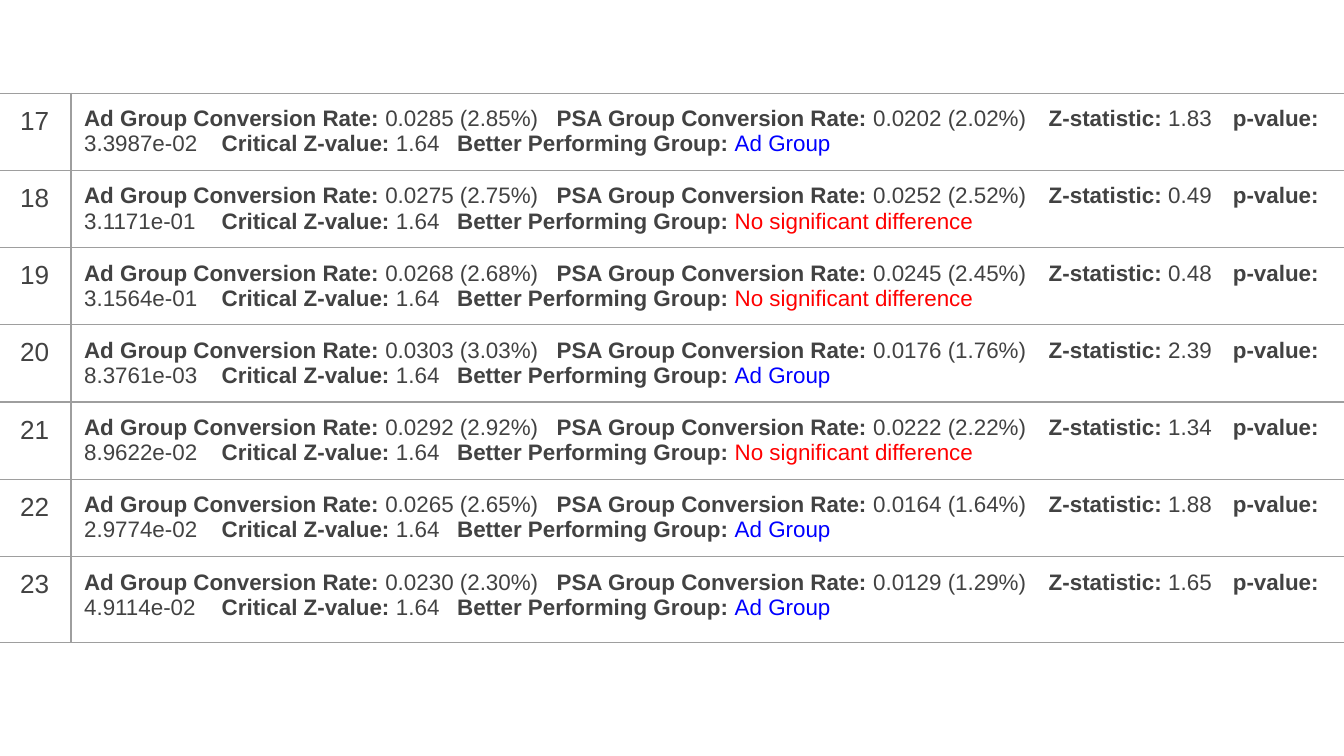
from lxml import etree
from pptx import Presentation
from pptx.dml.color import RGBColor
from pptx.enum import text
from pptx.oxml import ns
from pptx.util import Cm, Pt

GREY = RGBColor(0x42, 0x42, 0x42)
BLUE = RGBColor(0x00, 0x00, 0xFF)
RED = RGBColor(0xFF, 0x00, 0x00)
BORDER = RGBColor(0x9E, 0x9E, 0x9E)
FONT = "Arial"

LABELS = [
    "Ad Group Conversion Rate:",
    "PSA Group Conversion Rate:",
    "Z-statistic:",
    "p-value:",
    "Critical Z-value:",
    "Better Performing Group:",
]
WINNER, TIE = "Ad Group", "No significant difference"
OUTCOME_COLORS = {WINNER: BLUE, TIE: RED}
RESULTS = [
    ("17", "0.0285 (2.85%)", "0.0202 (2.02%)", "1.83", "3.3987e-02", "1.64", WINNER),
    ("18", "0.0275 (2.75%)", "0.0252 (2.52%)", "0.49", "3.1171e-01", "1.64", TIE),
    ("19", "0.0268 (2.68%)", "0.0245 (2.45%)", "0.48", "3.1564e-01", "1.64", TIE),
    ("20", "0.0303 (3.03%)", "0.0176 (1.76%)", "2.39", "8.3761e-03", "1.64", WINNER),
    ("21", "0.0292 (2.92%)", "0.0222 (2.22%)", "1.34", "8.9622e-02", "1.64", TIE),
    ("22", "0.0265 (2.65%)", "0.0164 (1.64%)", "1.88", "2.9774e-02", "1.64", WINNER),
    ("23", "0.0230 (2.30%)", "0.0129 (1.29%)", "1.65", "4.9114e-02", "1.64", WINNER),
]

LEFT, TOP = Cm(-0.03), Cm(1.76)
COLUMN_WIDTHS = [Cm(1.37), Cm(24.1)]
ROW_HEIGHT, LAST_ROW_HEIGHT = Cm(1.46), Cm(1.63)
MARGIN = Cm(0.25)
TAB_STOPS = [Cm(2.6), Cm(7.05), Cm(8.93), Cm(18.23), Cm(21.71)]


def add_span(para, words, size, color=GREY, bold=False):
    span = para.add_run()
    span.text = words
    span.font.name = FONT
    span.font.size = Pt(size)
    span.font.bold = bold
    span.font.color.rgb = color


def add_tab_stops(para):
    stops = etree.SubElement(para._p.get_or_add_pPr(), ns.qn("a:tabLst"))
    for position in TAB_STOPS:
        etree.SubElement(stops, ns.qn("a:tab"), pos=str(position), algn="l")


def style_cell(cell):
    cell.margin_left = cell.margin_right = MARGIN
    cell.margin_top = cell.margin_bottom = MARGIN
    cell.fill.background()
    properties = cell._tc.get_or_add_tcPr()
    for index, side in enumerate(("lnL", "lnR", "lnT", "lnB")):
        line = etree.Element(ns.qn("a:" + side), w=str(Pt(0.75)))
        fill = etree.SubElement(line, ns.qn("a:solidFill"))
        etree.SubElement(fill, ns.qn("a:srgbClr"), val=str(BORDER))
        properties.insert(index, line)


def fill_number(cell, number):
    para = cell.text_frame.paragraphs[0]
    para.alignment = text.PP_ALIGN.CENTER
    add_span(para, number, 14)


def fill_metrics(cell, values):
    para = cell.text_frame.paragraphs[0]
    add_tab_stops(para)
    for index, (label, value) in enumerate(zip(LABELS, values)):
        last = index == len(LABELS) - 1
        add_span(para, label + " ", 12, bold=True)
        add_span(para, value if last else value + "\t", 12,
                 OUTCOME_COLORS.get(value, GREY))


def main():
    deck = Presentation()
    deck.slide_width, deck.slide_height = Cm(25.4), Cm(14.29)
    page = deck.slides.add_slide(deck.slide_layouts[6])

    heights = [ROW_HEIGHT] * (len(RESULTS) - 1) + [LAST_ROW_HEIGHT]
    table = page.shapes.add_table(len(RESULTS), 2, LEFT, TOP,
                                  sum(COLUMN_WIDTHS), sum(heights)).table
    table.first_row = table.horz_banding = False
    for column, width in zip(table.columns, COLUMN_WIDTHS):
        column.width = width

    for row, height, (hour, *values) in zip(table.rows, heights, RESULTS):
        row.height = height
        number_cell, metrics_cell = row.cells
        style_cell(number_cell)
        style_cell(metrics_cell)
        fill_number(number_cell, hour)
        fill_metrics(metrics_cell, values)

    deck.save("out.pptx")


if __name__ == "__main__":
    main()
